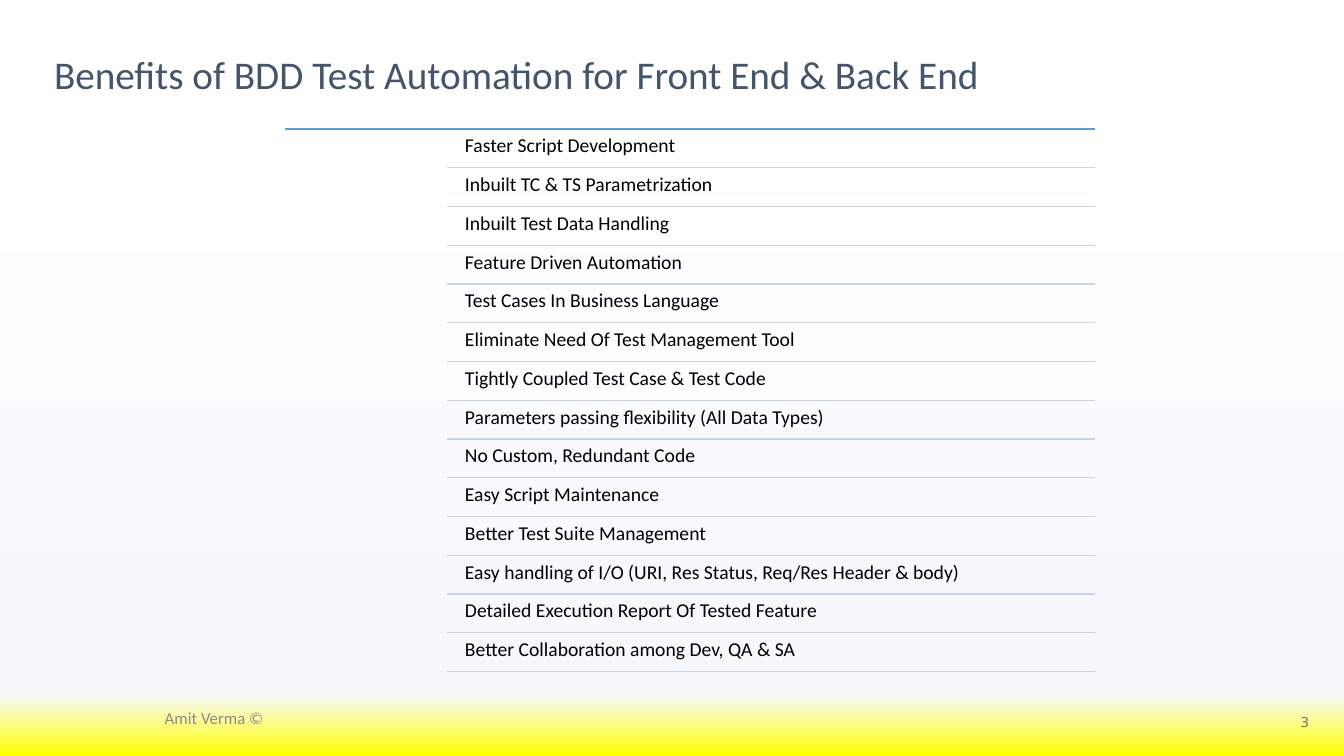
from pptx import Presentation
from pptx.dml.color import RGBColor
from pptx.enum.shapes import MSO_CONNECTOR
from pptx.enum.text import MSO_ANCHOR, MSO_AUTO_SIZE, PP_ALIGN
from pptx.oxml.ns import qn
from pptx.util import Pt
from lxml import etree

SCALE = 914400 / 100.8  # EMU per pixel
COLORS = {"title": "44546A", "text": "000000", "footer": "8C8C8C", "number": "666666",
          "top_rule": "5B9BD5", "rule": "C4D5EB"}
BACKGROUND = [(0, "FFFFFF"), (14, "FFFFFF"), (92, "F6F8FC"), (100, "FFFF00")]
BENEFITS = [
    "Faster Script Development",
    "Inbuilt TC & TS Parametrization",
    "Inbuilt Test Data Handling",
    "Feature Driven Automation",
    "Test Cases In Business Language",
    "Eliminate Need Of Test Management Tool",
    "Tightly Coupled Test Case & Test Code",
    "Parameters passing flexibility (All Data Types)",
    "No Custom, Redundant Code",
    "Easy Script Maintenance",
    "Better Test Suite Management",
    "Easy handling of I/O (URI, Res Status, Req/Res Header & body)",
    "Detailed Execution Report Of Tested Feature",
    "Better Collaboration among Dev, QA & SA",
]
RULE_TOP, ROW_STEP = 129, 38.75


def put_text(sp, box, text, size, color, font="Calibri", inset=6,
             align=PP_ALIGN.LEFT, anchor=MSO_ANCHOR.MIDDLE, spacing=1.0):
    sp.left, sp.top, sp.width, sp.height = [round(v * SCALE) for v in box]
    tf = sp.text_frame
    tf.text = text
    tf.word_wrap = True
    tf.auto_size = MSO_AUTO_SIZE.NONE
    tf.vertical_anchor = anchor
    tf.margin_left = tf.margin_right = tf.margin_top = tf.margin_bottom = round(inset * SCALE)
    p = tf.paragraphs[0]
    p.alignment = align
    p.line_spacing = spacing
    f = p.runs[0].font
    f.name, f.size = font, Pt(size)
    f.color.rgb = RGBColor.from_string(COLORS[color])


def add_rule(x, y, color):
    ends = [round(v * SCALE) for v in (x, y, 1095, y)]
    rule = s.shapes.add_connector(MSO_CONNECTOR.STRAIGHT, *ends)
    rule.line.color.rgb = RGBColor.from_string(COLORS[color])
    rule.line.width = Pt(1)
    etree.SubElement(rule._element.spPr, qn("a:effectLst"))


prs = Presentation()
prs.slide_width, prs.slide_height = round(1344 * SCALE), round(756 * SCALE)
s = prs.slides.add_slide(prs.slide_layouts[5])

# Background gradient
fill = s.background.fill
fill.gradient()
fill.gradient_angle = 270
stops = s.element.xpath(".//a:gsLst")[0]
for stop in list(stops):
    stops.remove(stop)
for pos, color in BACKGROUND:
    stop = etree.SubElement(stops, qn("a:gs"), pos=str(pos * 1000))
    etree.SubElement(stop, qn("a:srgbClr"), val=color)

# Title
put_text(s.shapes.title, (41, 41, 1223, 72),
         "Benefits of BDD Test Automation for Front End & Back End",
         28, "title", inset=13, spacing=0.9)

# Benefits, each with a rule below
add_rule(285, RULE_TOP, "top_rule")
for i, benefit in enumerate(BENEFITS):
    y = RULE_TOP + i * ROW_STEP
    sp = s.shapes.add_textbox(0, 0, 0, 0)
    put_text(sp, (459, y + 1, 635, 37), benefit, 14, "text",
             anchor=MSO_ANCHOR.TOP, spacing=0.9)
    add_rule(447, y + ROW_STEP, "rule")

# Footer and slide number
footer = s.shapes.add_textbox(0, 0, 0, 0)
put_text(footer, (41, 700, 346, 36), "Amit Verma ©", 12, "footer", align=PP_ALIGN.CENTER)
number = s.shapes.add_textbox(0, 0, 0, 0)
put_text(number, (1264, 700, 58, 43), "3", 10, "number", font="Open Sans",
         inset=13, align=PP_ALIGN.RIGHT)

prs.save("out.pptx")
